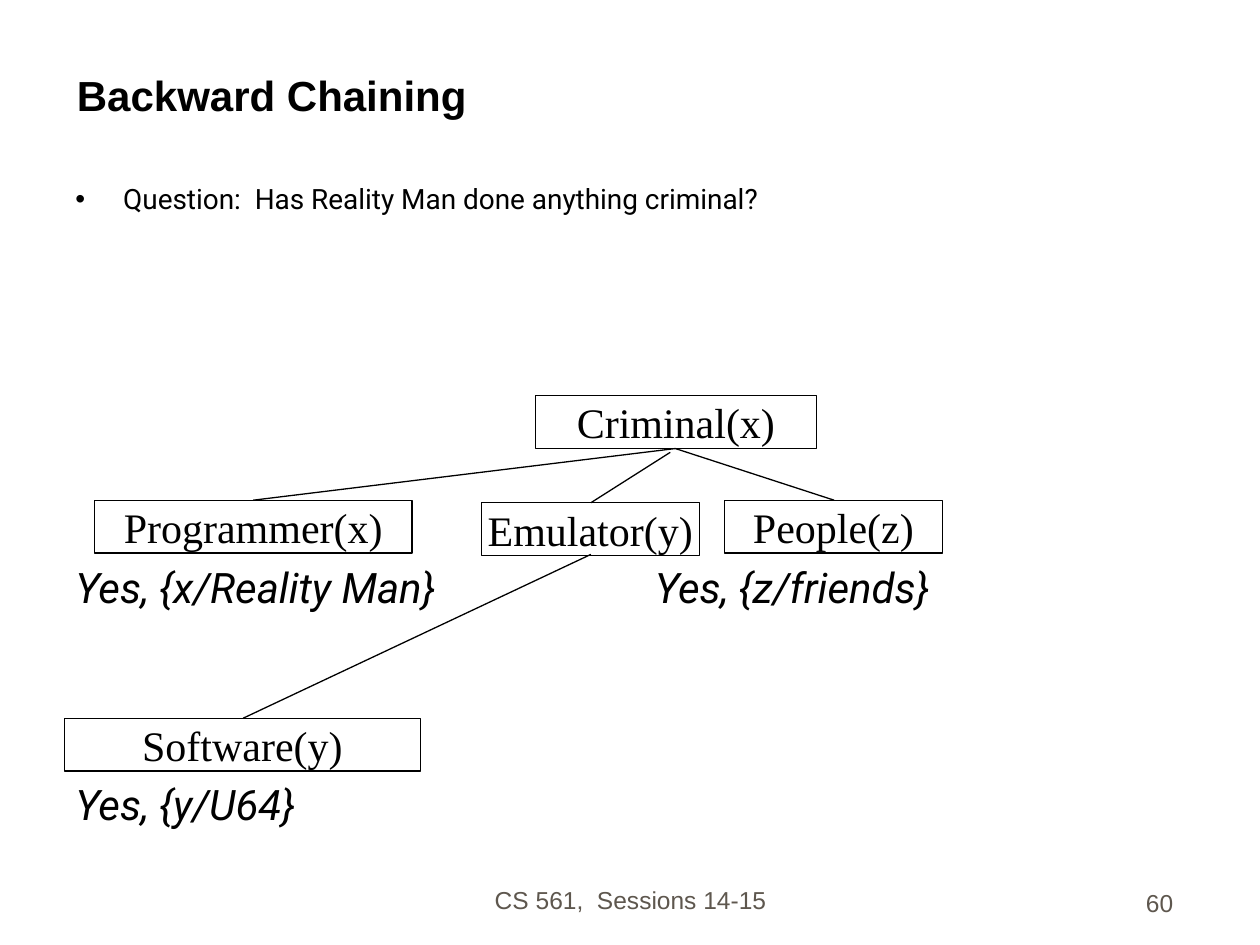
from lxml.etree import SubElement
from pptx import Presentation
from pptx.dml.color import RGBColor
from pptx.enum.shapes import MSO_CONNECTOR, MSO_SHAPE
from pptx.enum.text import MSO_ANCHOR, MSO_AUTO_SIZE, PP_ALIGN
from pptx.oxml.ns import qn
from pptx.util import Inches, Pt

BLACK = "000000"
GREY = "5E574E"


def color(value):
    return RGBColor.from_string(value)


class ProofSlide:
    heading_font = "Arial"
    body_font = "Roboto"
    node_font = "Times New Roman"
    line_width = Pt(0.75)

    def __init__(self, deck):
        self.page = deck.slides.add_slide(deck.slide_layouts[5])

    def set_text(self, shape, text, size, font, shade=BLACK,
                 align=PP_ALIGN.LEFT, anchor=MSO_ANCHOR.MIDDLE, wrap=True,
                 bold=False, italic=False):
        frame = shape.text_frame
        frame.auto_size = MSO_AUTO_SIZE.NONE
        frame.word_wrap = wrap
        frame.vertical_anchor = anchor
        para = frame.paragraphs[0]
        para.text = text
        para.alignment = align
        para.font.size = Pt(size)
        para.font.name = font
        para.font.bold = bold
        para.font.italic = italic
        para.font.color.rgb = color(shade)
        return para

    def title(self, text, left, top, width, height):
        box = self.page.shapes.title
        box.left, box.top = Inches(left), Inches(top)
        box.width, box.height = Inches(width), Inches(height)
        self.set_text(box, text, 24, self.heading_font,
                      anchor=MSO_ANCHOR.BOTTOM, bold=True)

    def text_box(self, left, top, width, height):
        return self.page.shapes.add_textbox(
            Inches(left), Inches(top), Inches(width), Inches(height))

    def bullet(self, text, left, top, width, height):
        box = self.text_box(left, top, width, height)
        properties = box.text_frame.paragraphs[0]._p.get_or_add_pPr()
        properties.set("marL", str(Inches(0.38)))
        properties.set("indent", str(-Inches(0.38)))
        SubElement(properties, qn("a:buFont"), typeface="Arial")
        SubElement(properties, qn("a:buChar"), char="•")
        para = self.set_text(box, text, 16, self.body_font,
                             anchor=MSO_ANCHOR.TOP)
        para.line_spacing = 0.9

    def answer(self, text, left, top):
        box = self.text_box(left, top, 3.2, 0.5)
        self.set_text(box, text, 24, self.body_font, italic=True)

    def footer(self, text, left, top, width, align):
        box = self.text_box(left, top, width, 0.5)
        self.set_text(box, text, 14, self.heading_font, GREY, align,
                      MSO_ANCHOR.BOTTOM)

    def node(self, text, left, top, width):
        box = self.page.shapes.add_shape(
            MSO_SHAPE.RECTANGLE, Inches(left), Inches(top),
            Inches(width), Inches(0.42))
        box.shadow.inherit = False
        box.fill.background()
        box.line.color.rgb = color(BLACK)
        box.line.width = self.line_width
        self.set_text(box, text, 24, self.node_font, align=PP_ALIGN.CENTER,
                      wrap=False)

    def link(self, start, end):
        line = self.page.shapes.add_connector(
            MSO_CONNECTOR.STRAIGHT, *map(Inches, start + end))
        line.line.color.rgb = color(BLACK)
        line.line.width = self.line_width
        SubElement(line._element.spPr, qn("a:effectLst"))


def main():
    deck = Presentation()
    deck.slide_width, deck.slide_height = Inches(10), Inches(7.5)
    slide = ProofSlide(deck)

    # Heading and question
    slide.title("Backward Chaining", 0.51, 0.25, 8.92, 0.75)
    slide.bullet("Question:  Has Reality Man done anything criminal?",
                 0.5, 1.42, 8.94, 0.5)

    # Goals of the proof tree
    for text, left, top, width in (
        ("Criminal(x)", 4.25, 3.14, 2.23),
        ("Programmer(x)", 0.75, 3.97, 2.52),
        ("Emulator(y)", 3.82, 3.99, 1.73),
        ("People(z)", 5.75, 3.97, 1.73),
        ("Software(y)", 0.51, 5.7, 2.83),
    ):
        slide.node(text, left, top, width)

    # Links from each goal to its subgoals
    for start, end in (
        ((5.36, 3.56), (2.01, 3.97)),
        ((5.32, 3.59), (4.69, 3.99)),
        ((5.36, 3.56), (6.62, 3.97)),
        ((4.69, 4.4), (1.93, 5.7)),
    ):
        slide.link(start, end)

    # Answers under the proven goals
    slide.answer("Yes, {x/Reality Man}", 0.5, 4.41)
    slide.answer("Yes, {z/friends}", 5.1, 4.41)
    slide.answer("Yes, {y/U64}", 0.5, 6.13)

    # Footer
    slide.footer("CS 561,  Sessions 14-15", 3.42, 6.81, 3.17, PP_ALIGN.CENTER)
    slide.footer("60", 7.33, 6.83, 2.08, PP_ALIGN.RIGHT)

    deck.save("out.pptx")


if __name__ == "__main__":
    main()
